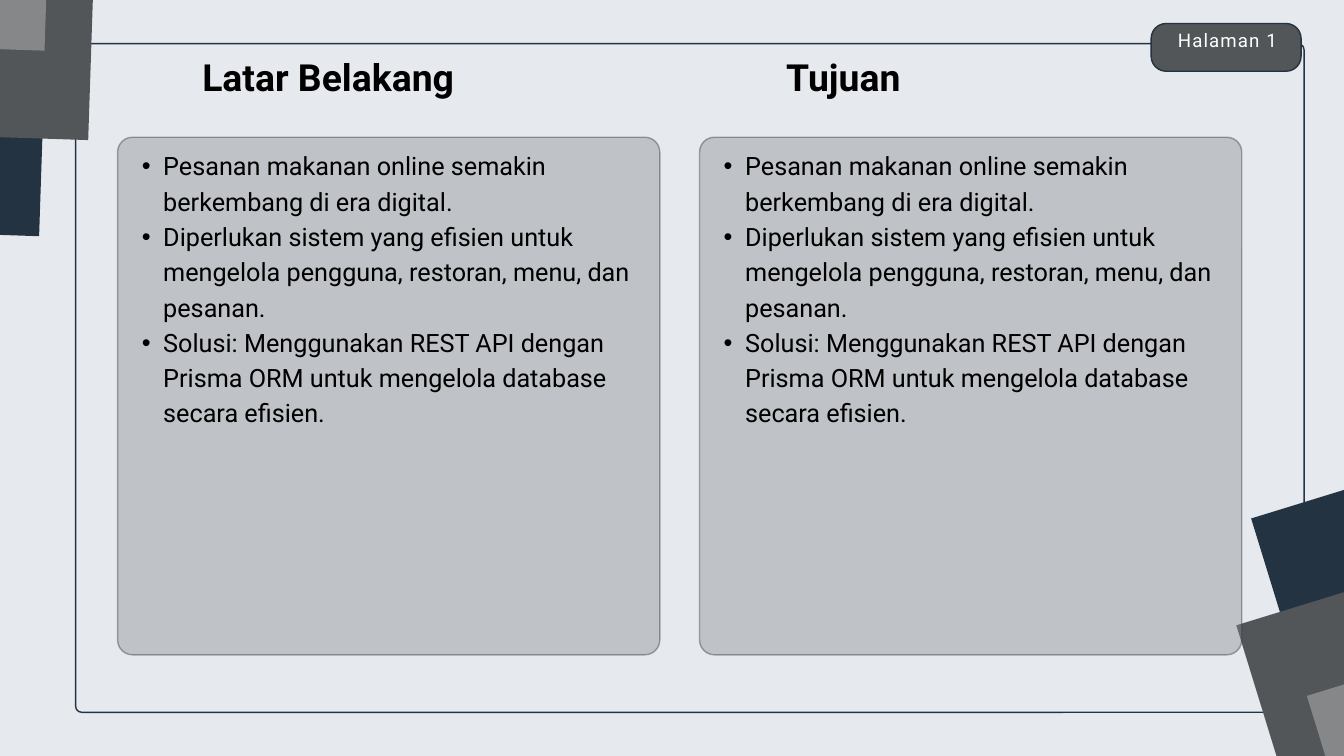
import pptx
import pptx.util
import pptx.dml.color
import pptx.enum.shapes
import pptx.enum.text
import pptx.oxml.ns
import lxml.etree

Pt = pptx.util.Pt
KIND = pptx.enum.shapes.MSO_SHAPE
ALIGN = pptx.enum.text.PP_ALIGN

# Content
POINTS = [
    "Pesanan makanan online semakin berkembang di era digital.",
    "Diperlukan sistem yang efisien untuk mengelola pengguna, restoran, menu, dan pesanan.",
    "Solusi: Menggunakan REST API dengan Prisma ORM untuk mengelola database secara efisien.",
]
# title, title left, bullet points
COLUMNS = [("Latar Belakang", 216.7, POINTS), ("Tujuan", 842.4, POINTS)]
BADGE = "Halaman 1"

# Squares in each corner: turn, then (left, top, colour) from back to front
CORNERS = [
    (271.9, [(-388.8, -192.2, "navy"), (-336.2, -295.2, "slate"), (-383, -391, "gray")]),
    (72.9, [(1396.1, 480.2, "navy"), (1380.2, 594.7, "slate"), (1455.8, 670.3, "gray")]),
]

THEME = {
    "navy": "243342", "slate": "535659", "gray": "858789",
    "back": "E6EAEF", "ink": "000000", "white": "FFFFFF",
    "font": "Roboto", "line": 1.5, "fade": 40,
    "title": {"size": 40, "lead": 36.8, "ink": "ink", "bold": True},
    "body": {"size": 27, "lead": 37.8, "ink": "ink", "bold": False},
    "badge": {"size": 20, "lead": 28, "ink": "white", "bold": False},
}

# Layout
WIDE, HIGH = 1440, 810
FRAME = (81, 46.8, 1316.2, 716.4)
TAB = (1233.4, 25.2, 160.6, 51.1)
SQUARE = (437, 439.2)
LEFT, TOP, STEP = 126, 147, 623.5
PANEL = (581, 554.6)
INDENT = 23


def tint(name):
    return pptx.dml.color.RGBColor.from_string(THEME[name])


def fade(fill):
    """Make a solid fill partly clear."""
    tag = pptx.oxml.ns.qn("a:alpha")
    mark = fill._xPr.find(".//" + pptx.oxml.ns.qn("a:srgbClr"))
    lxml.etree.SubElement(mark, tag).set("val", str(THEME["fade"] * 1000))


def block(slide, box, color, radius=0, edge=None, turn=0, clear=False):
    kind = KIND.ROUNDED_RECTANGLE if radius else KIND.RECTANGLE
    shape = slide.shapes.add_shape(kind, *map(Pt, box))
    shape.shadow.inherit = False
    shape.rotation = turn
    if radius:
        shape.adjustments[0] = radius / min(box[2:])
    shape.fill.solid()
    shape.fill.fore_color.rgb = tint(color)
    if edge:
        shape.line.color.rgb = tint(edge)
        shape.line.width = Pt(THEME["line"])
    else:
        shape.line.fill.background()
    if clear:
        fade(shape.fill)
        fade(shape.line.fill)


def bullet(para):
    props = para._p.get_or_add_pPr()
    for key, value in {"marL": 2 * INDENT, "indent": -INDENT}.items():
        props.set(key, str(Pt(value)))
    for tag, key, value in [("a:buFont", "typeface", "Arial"), ("a:buChar", "char", "•")]:
        lxml.etree.SubElement(props, pptx.oxml.ns.qn(tag)).set(key, value)


def write(slide, box, lines, role, align=ALIGN.LEFT, dots=False, space=0):
    look = THEME[role]
    frame = slide.shapes.add_textbox(*map(Pt, box)).text_frame
    sides = ("left", "top", "right", "bottom")
    setup = {"margin_" + side: 0 for side in sides} | {"word_wrap": True}
    for key, value in setup.items():
        setattr(frame, key, value)
    for num, line in enumerate(lines):
        para = frame.add_paragraph() if num else frame.paragraphs[0]
        form = {"alignment": align, "line_spacing": Pt(look["lead"]), "level": int(dots)}
        for key, value in form.items():
            setattr(para, key, value)
        if dots:
            bullet(para)
        run = para.add_run()
        run.text = line
        form = {"name": THEME["font"], "size": Pt(look["size"]), "bold": look["bold"]}
        for key, value in form.items():
            setattr(run.font, key, value)
        run.font.color.rgb = tint(look["ink"])
        if space:
            run._r.get_or_add_rPr().set("spc", str(int(space * 100)))


def main():
    deck = pptx.Presentation()
    deck.slide_width, deck.slide_height = Pt(WIDE), Pt(HIGH)
    slide = deck.slides.add_slide(deck.slide_layouts[6])
    slide.background.fill.solid()
    slide.background.fill.fore_color.rgb = tint("back")

    # Frame and corner squares
    block(slide, FRAME, "back", radius=6.5, edge="navy")
    for turn, squares in CORNERS:
        for left, top, color in squares:
            block(slide, (left, top, *SQUARE), color, turn=turn)

    # Page badge
    block(slide, TAB, "slate", radius=16, edge="navy")
    write(slide, (1229.8, 27.4, 170.6, 35.3), [BADGE], "badge", ALIGN.CENTER, space=1.2)

    # Columns
    for num, (title, start, points) in enumerate(COLUMNS):
        left = LEFT + num * STEP
        block(slide, (left, TOP, *PANEL), "gray", radius=16, edge="navy", clear=True)
        write(slide, (left + 2.9, 156.2, 550, 346.3), points, "body", dots=True)
        write(slide, (start, 69.1, 503.3, 54.7), [title], "title")

    deck.save("out.pptx")


if __name__ == "__main__":
    main()
